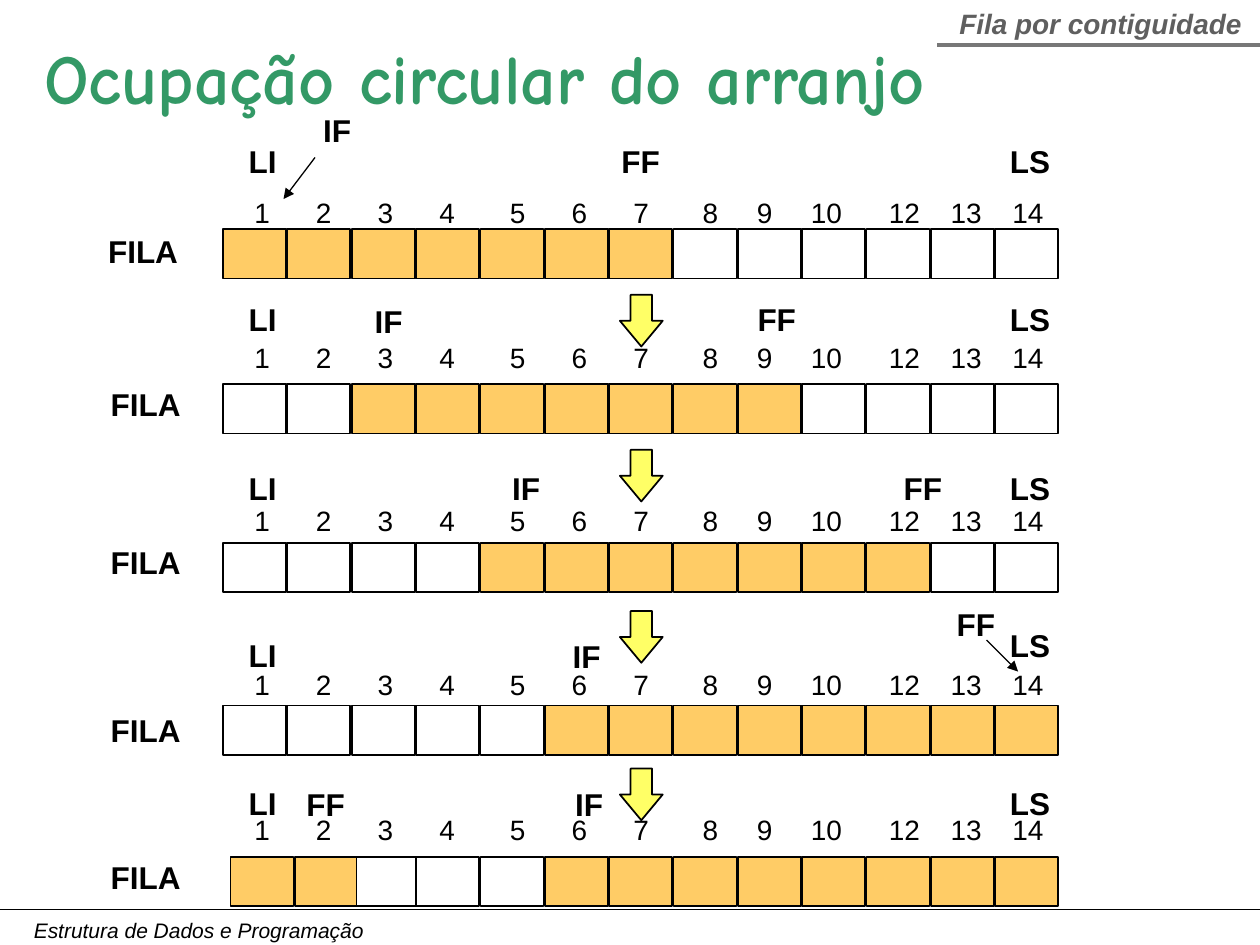
"""Build the slide on circular occupation of a queue array."""
import pptx
import pptx.dml.color
import pptx.enum.shapes
import pptx.enum.text
import pptx.oxml
import pptx.util
from lxml import etree

Inches, Pt = pptx.util.Inches, pptx.util.Pt
ALIGN = pptx.enum.text.PP_ALIGN
ANCHOR = pptx.enum.text.MSO_ANCHOR
SHAPE = pptx.enum.shapes.MSO_SHAPE

TITLE = "Ocupação circular do arranjo"
TOPIC = "Fila por contiguidade"
FOOTER = "Estrutura de Dados e Programação"
NUMBERS = [1, 2, 3, 4, 5, 6, 7, 8, 9, 10, 12, 13, 14]
TABS = [0.55, 1.04, 1.53, 2.09, 2.58, 3.07, 3.62, 4.05, 4.54, 5.16, 5.65, 6.14]
USED, FREE = "FFCC66", "FFFFFF"
ROWS = [
    dict(cells=1.82, used=range(0, 7), numbers=1.5, fila=(0.76, 1.79),
         marks=[("LS", 7.92, 1.08), ("FF", 4.83, 1.08), ("IF", 2.42, 0.83), ("LI", 1.83, 1.08)]),
    dict(cells=3.05, used=range(2, 9), numbers=2.65, fila=(0.78, 3.01), arrow=2.34,
         marks=[("LS", 7.92, 2.33), ("FF", 5.91, 2.33), ("IF", 2.83, 2.35), ("LI", 1.83, 2.33)]),
    dict(cells=4.31, used=range(4, 11), numbers=3.95, fila=(0.78, 4.26), arrow=3.57,
         marks=[("LS", 7.92, 3.67), ("FF", 7.07, 3.67), ("IF", 3.92, 3.67), ("LI", 1.83, 3.67)]),
    dict(cells=5.6, used=range(5, 13), numbers=5.25, fila=(0.78, 5.59), arrow=4.85,
         marks=[("LS", 7.92, 4.92), ("FF", 7.49, 4.75), ("IF", 4.4, 5.01), ("LI", 1.83, 5)]),
    dict(cells=6.8, used=[0, 1, *range(5, 13)], numbers=6.4, fila=(0.78, 6.76), arrow=6.1,
         shifted={0: 1.83, 1: 2.34, 2: 2.83},
         marks=[("LS", 7.92, 6.17), ("FF", 2.33, 6.18), ("IF", 4.42, 6.18), ("LI", 1.83, 6.17)]),
]
LINES = [
    ((0, 7.22, 10, 7.22), "000000", 0.75, False),
    ((7.44, 0.36, 10, 0.36), "777777", 2.25, False),
    ((2.5, 1.25, 2.25, 1.58), "000000", 0.75, True),
    ((7.83, 5.08, 8.08, 5.33), "000000", 0.75, True),
]
CELL_LEFT, LAST_LEFT = 1.77, 7.9
PITCH = (LAST_LEFT - CELL_LEFT) / (len(NUMBERS) - 1)

LABEL = dict(size=Pt(18), bold=True)
MARK = dict(align=ALIGN.CENTER, anchor=ANCHOR.MIDDLE)


def rgb(value):
    return pptx.dml.color.RGBColor.from_string(value)


def write(sp, text, fmt, color="000000", align=ALIGN.LEFT, anchor=ANCHOR.TOP, wrap=False, tabs=()):
    tf = sp.text_frame
    tf.word_wrap, tf.vertical_anchor = wrap, anchor
    tf.auto_size = pptx.enum.text.MSO_AUTO_SIZE.NONE
    p = tf.paragraphs[0]
    p.alignment = align
    if tabs:
        stops = pptx.oxml.ns.qn("a:tabLst")
        tab_list = etree.SubElement(p._p.get_or_add_pPr(), stops)
        for pos in tabs:
            etree.SubElement(tab_list, pptx.oxml.ns.qn("a:tab"), pos=str(Inches(pos)), algn="ctr")
    r = p.add_run()
    r.text = text
    for name, value in {"name": "Arial", **fmt}.items():
        setattr(r.font, name, value)
    r.font.color.rgb = rgb(color)


def add_text(s, box, text, fmt, **options):
    write(s.shapes.add_textbox(*map(Inches, box)), text, fmt, **options)


def add_box(s, kind, box, fill):
    sp = s.shapes.add_shape(kind, *map(Inches, box))
    sp.shadow.inherit = False
    sp.fill.solid()
    sp.fill.fore_color.rgb = rgb(fill)
    sp.line.color.rgb = rgb("000000")
    sp.line.width = Pt(1)
    return sp


def add_line(s, ends, color, width, arrow):
    c = s.shapes.add_connector(pptx.enum.shapes.MSO_CONNECTOR.STRAIGHT, *map(Inches, ends))
    c.line.color.rgb = rgb(color)
    c.line.width = Pt(width)
    if arrow:
        etree.SubElement(c.line._get_or_add_ln(), pptx.oxml.ns.qn("a:tailEnd"), type="triangle")
    etree.SubElement(c._element.spPr, pptx.oxml.ns.qn("a:effectLst"))


def add_row(s, row):
    shifted = row.get("shifted", {})
    for i in range(len(NUMBERS)):
        left = shifted.get(i, CELL_LEFT + i * PITCH)
        add_box(s, SHAPE.RECTANGLE, (left, row["cells"], 0.5, 0.39), USED if i in row["used"] else FREE)
    if "arrow" in row:
        sp = add_box(s, SHAPE.DOWN_ARROW, (4.92, row["arrow"], 0.34, 0.41), "FFFF66")
        sp.adjustments[1] = 0.6
    add_text(s, (1.92, row["numbers"], 6.55, 0.37), "\t".join(map(str, NUMBERS)),
             dict(size=Pt(16)), wrap=True, tabs=TABS)
    for text, left, top in row["marks"]:
        add_text(s, (left, top, 0.51, 0.4), text, LABEL, **MARK)
    add_text(s, (*row["fila"], 0.76, 0.4), "FILA", LABEL)


def main():
    prs = pptx.Presentation()
    prs.slide_width, prs.slide_height = Inches(10), Inches(7.5)
    s = prs.slides.add_slide(prs.slide_layouts[5])
    title = s.shapes.title
    title.left, title.top, title.width, title.height = map(Inches, (0.25, 0.22, 8.02, 0.77))
    write(title, TITLE, dict(name="Comic Neue", size=Pt(40), bold=True), color="339966", wrap=True)
    add_text(s, (0.17, 7.23, 2.84, 0.3), FOOTER, dict(size=Pt(12), italic=True))
    for row in ROWS:
        add_row(s, row)
    for line in LINES:
        add_line(s, *line)
    add_text(s, (7.51, 0, 2.45, 0.37), TOPIC, dict(size=Pt(16), bold=True, italic=True),
             color="5F5F5F", align=ALIGN.CENTER)
    prs.save("out.pptx")


if __name__ == "__main__":
    main()
